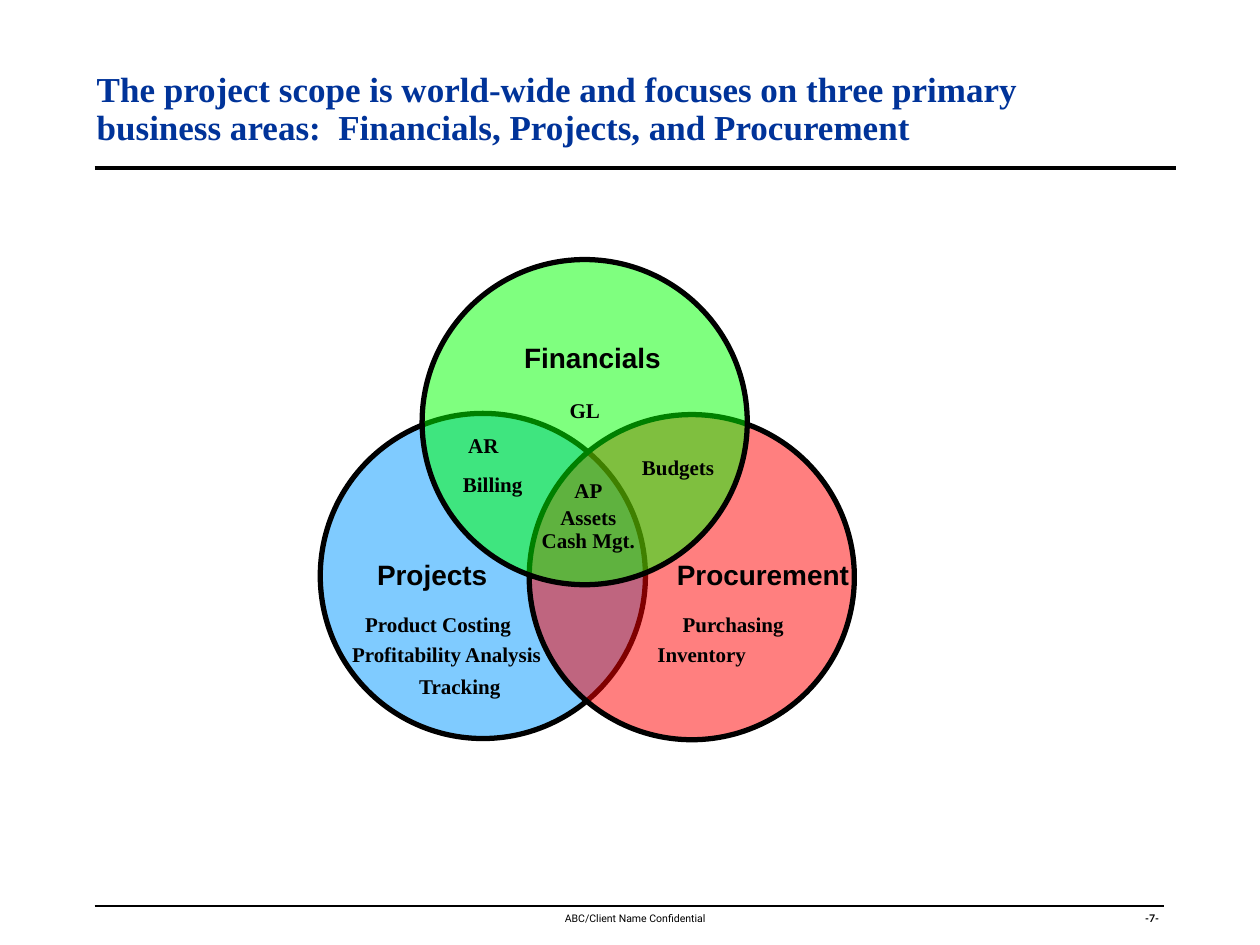
from lxml import etree
from pptx import Presentation
from pptx import util as u
from pptx.dml.color import RGBColor
from pptx.enum import shapes, text
from pptx.oxml.ns import qn

Pt = u.Pt
CENTER, LEFT = text.PP_ALIGN.CENTER, text.PP_ALIGN.LEFT
TOP, MIDDLE = text.MSO_ANCHOR.TOP, text.MSO_ANCHOR.MIDDLE
FIXED, GROW = text.MSO_AUTO_SIZE.NONE, text.MSO_AUTO_SIZE.SHAPE_TO_FIT_TEXT

THEME = {
    "ink": RGBColor.from_string("000000"),
    "title": {"name": "Times New Roman", "size": Pt(20), "bold": True, "color": "003399",
              "align": LEFT, "spacing": 0.9,
              "frame": {"vertical_anchor": MIDDLE, "auto_size": FIXED, "word_wrap": True}},
    "area": {"name": "Arial", "size": Pt(16), "bold": True, "color": "000000",
             "align": CENTER, "spacing": 1.0,
             "frame": {"vertical_anchor": TOP, "auto_size": GROW, "word_wrap": True}},
    "item": {"name": "Times New Roman", "size": Pt(12), "bold": True, "color": "000000",
             "align": CENTER, "spacing": 0.9,
             "frame": {"vertical_anchor": MIDDLE, "auto_size": GROW, "word_wrap": False}},
    "footer": {"name": "Roboto", "size": Pt(6), "bold": False, "color": "000000",
               "align": CENTER, "spacing": 1.0,
               "frame": {"vertical_anchor": TOP, "auto_size": GROW, "word_wrap": True}},
    "number": {"name": "Lato", "size": Pt(6), "bold": True, "color": "000000",
               "align": CENTER, "spacing": 0.9,
               "frame": {"vertical_anchor": TOP, "auto_size": GROW, "word_wrap": True}},
}

deck = Presentation()
deck.slide_width, deck.slide_height = Pt(720), Pt(540)
page = deck.slides.add_slide(deck.slide_layouts[6])


def add_text(lines, left, top, width, height, style):
    look = THEME[style]
    box = page.shapes.add_textbox(Pt(left), Pt(top), Pt(width), Pt(height))
    frame = box.text_frame
    for key, value in look["frame"].items():
        setattr(frame, key, value)
    for index, words in enumerate(lines):
        para = frame.paragraphs[0] if index == 0 else frame.add_paragraph()
        para.alignment = look["align"]
        para.line_spacing = look["spacing"]
        span = para.add_run()
        span.text = words
        for key in ("name", "size", "bold"):
            setattr(span.font, key, look[key])
        span.font.color.rgb = RGBColor.from_string(look["color"])


add_text(["ABC/Client Name Confidential"], 59.8, 517.7, 606.2, 14.4, "footer")
add_text(["-7-"], 638.4, 518.4, 40, 20.9, "number")

for right, y, weight in [(665.3, 517.7, 1), (671.8, 96, 2)]:
    rule = page.shapes.add_connector(shapes.MSO_CONNECTOR.STRAIGHT, Pt(54), Pt(y), Pt(right), Pt(y))
    rule.line.color.rgb = THEME["ink"]
    rule.line.width = Pt(weight)
    etree.SubElement(rule._element.spPr, qn("a:effectLst"))

add_text(["The project scope is world-wide and focuses on three primary business areas:  "
          "Financials, Projects, and Procurement"], 48.2, 18, 588.2, 90, "title")

DIAMETER = 185.8
for left, top, color in [(183, 236.2, "0099FF"), (302.4, 236.9, "FF0000"), (241.2, 148.3, "00FF00")]:
    circle = page.shapes.add_shape(shapes.MSO_SHAPE.FLOWCHART_CONNECTOR,
                                   Pt(left), Pt(top), Pt(DIAMETER), Pt(DIAMETER))
    circle.shadow.inherit = False
    circle.fill.solid()
    circle.fill.fore_color.rgb = RGBColor.from_string(color)
    tint = circle._element.spPr.find(qn("a:solidFill"))[0]
    etree.SubElement(tint, qn("a:alpha"), val="50000")
    circle.line.color.rgb = THEME["ink"]
    circle.line.width = Pt(3)

AREA_WIDTH = 160
for area, center, top in [("Projects", 247, 315), ("Financials", 338.6, 190.8),
                          ("Procurement", 436, 315)]:
    add_text([area], center - AREA_WIDTH / 2, top, AREA_WIDTH, 26.6, "area")

items = [
    (["AR"], 276.2, 255.2, 40),
    (["AP"], 336.2, 280.8, 40),
    (["Assets", "Cash Mgt."], 336.2, 303.1, 76),
    (["Purchasing"], 419, 357.5, 80),
    (["Billing"], 281.6, 277.5, 58),
    (["Inventory"], 401, 374.4, 74),
    (["GL"], 334.1, 235.4, 40),
    (["Budgets"], 387.5, 267.8, 66),
    (["Product Costing"], 250.4, 357.5, 108),
    (["Tracking"], 262.8, 393, 70),
    (["Profitability Analysis"], 255.2, 374.4, 132),
]
for lines, center, middle, width in items:
    height = 7.2 + 13 * len(lines)
    add_text(lines, center - width / 2, middle - height / 2, width, height, "item")

deck.save("out.pptx")
